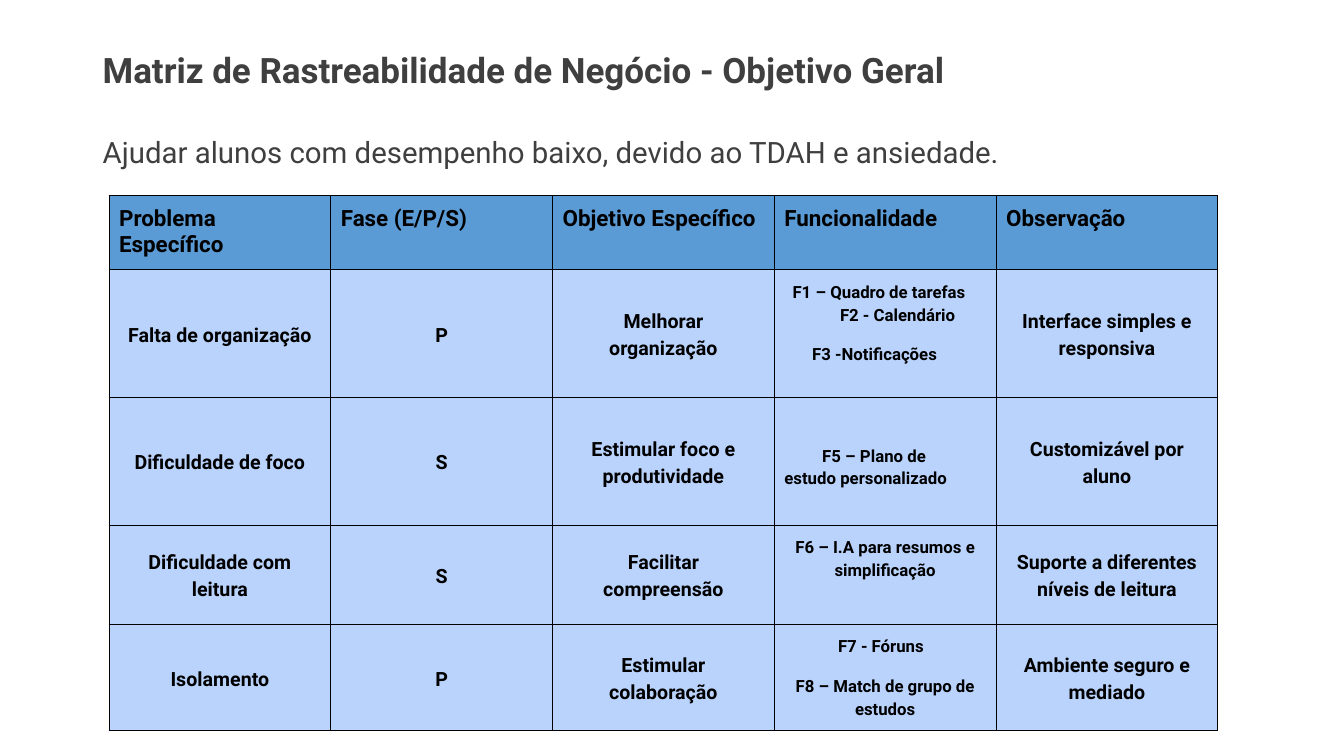
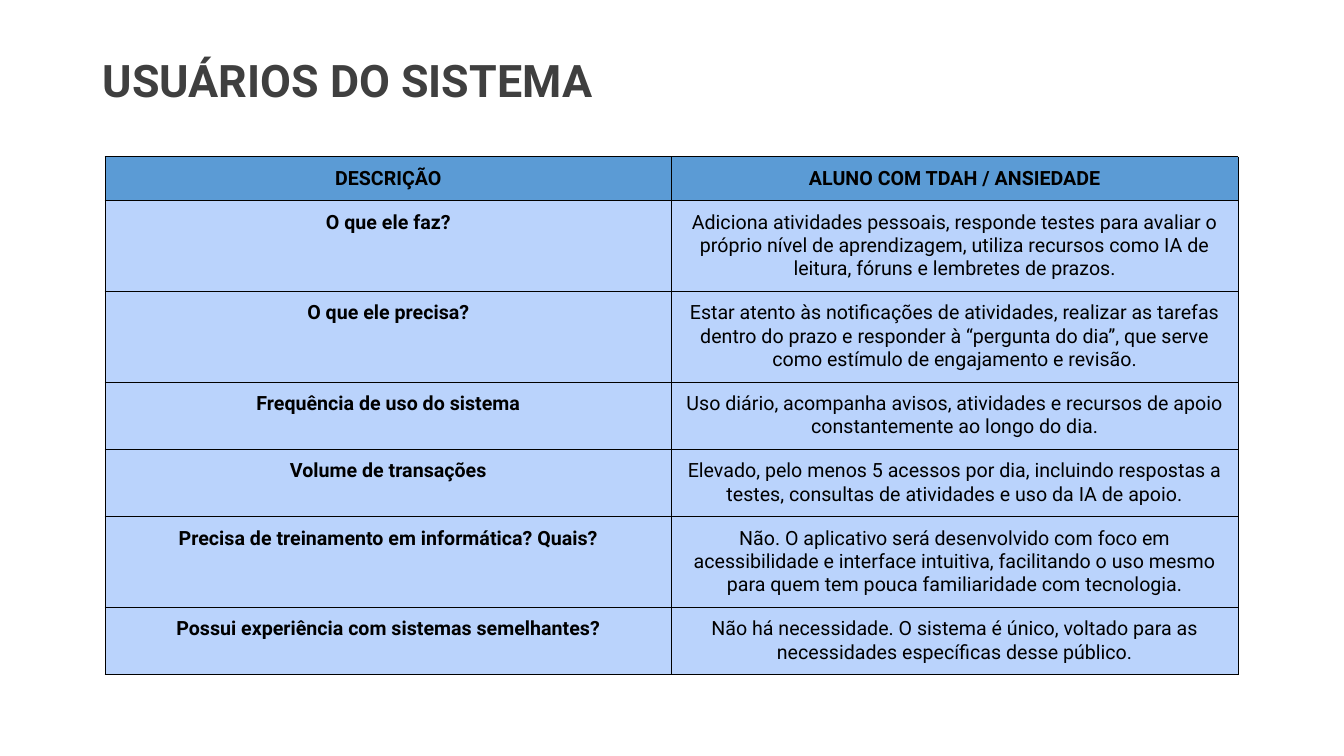
"""Builds two slides: the business traceability matrix and the system users."""
from lxml import etree
from pptx import Presentation
from pptx.dml.color import RGBColor
from pptx.enum import text
from pptx.oxml import ns
from pptx.util import Pt

FONT = "Roboto"
GREY = RGBColor(0x3F, 0x3F, 0x3F)
BLACK = RGBColor(0, 0, 0)
HEADER_BLUE = RGBColor(0x5B, 0x9B, 0xD5)
BODY_BLUE = RGBColor(0xBA, 0xD3, 0xFC)
LEFT, CENTER = text.PP_ALIGN.LEFT, text.PP_ALIGN.CENTER
TOP, MIDDLE = text.MSO_ANCHOR.TOP, text.MSO_ANCHOR.MIDDLE
TEXT_LEFT = 66.24
INSET = 7.2

MATRIX_TITLE = "Matriz de Rastreabilidade de Negócio - Objetivo Geral"
MATRIX_GOAL = "Ajudar alunos com desempenho baixo, devido ao TDAH e ansiedade."
MATRIX_HEADER = ["Problema Específico", "Fase (E/P/S)", "Objetivo Específico",
                 "Funcionalidade", "Observação"]
MATRIX_ROWS = [
    ("Falta de organização", "P", "Melhorar organização", "Interface simples e responsiva"),
    ("Dificuldade de foco", "S", "Estimular foco e produtividade", "Customizável por aluno"),
    ("Dificuldade com leitura", "S", "Facilitar compreensão",
     "Suporte a diferentes níveis de leitura"),
    ("Isolamento", "P", "Estimular colaboração", "Ambiente seguro e mediado"),
]
# Each feature: text, first-line indent (None when centred), space before
FEATURES = [
    [("F1 – Quadro de tarefas", 5.8, 0), ("F2 - Calendário", 39.7, 0),
     ("F3 -Notificações", 19.8, 12)],
    [("F5 – Plano de\vestudo personalizado", 27, 0)],
    [("F6 – I.A para resumos e simplificação", None, 0)],
    [("F7 - Fóruns", 38.3, 0), ("F8 – Match de grupo de estudos", None, 12)],
]
FEATURE_TOPS = [INSET, 33, INSET, INSET]
MATRIX_HEIGHTS = [53.1, 91.2, 91.2, 70.8, 74.2]

USERS_TITLE = "USUÁRIOS DO SISTEMA"
USERS_ROWS = [
    ("DESCRIÇÃO", "ALUNO COM TDAH / ANSIEDADE"),
    ("O que ele faz?",
     "Adiciona atividades pessoais, responde testes para avaliar o próprio nível de "
     "aprendizagem, utiliza recursos como IA de leitura, fóruns e lembretes de prazos."),
    ("O que ele precisa?",
     "Estar atento às notificações de atividades, realizar as tarefas dentro do prazo e "
     "responder à “pergunta do dia”, que serve como estímulo de engajamento e revisão."),
    ("Frequência de uso do sistema",
     "Uso diário, acompanha avisos, atividades e recursos de apoio constantemente ao "
     "longo do dia."),
    ("Volume de transações",
     "Elevado, pelo menos 5 acessos por dia, incluindo respostas a testes, consultas de "
     "atividades e uso da IA de apoio."),
    ("Precisa de treinamento em informática? Quais?",
     "Não. O aplicativo será desenvolvido com foco em acessibilidade e interface "
     "intuitiva, facilitando o uso mesmo para quem tem pouca familiaridade com tecnologia."),
    ("Possui experiência com sistemas semelhantes?",
     "Não há necessidade. O sistema é único, voltado para as necessidades específicas "
     "desse público."),
]


def style(p, size, color=BLACK, bold=True, align=LEFT, spacing=1.0):
    p.font.name, p.font.size, p.font.bold = FONT, Pt(size), bold
    p.font.color.rgb = color
    p.alignment, p.line_spacing = align, spacing


def add_text(slide, words, top, width, height, size, bold=True, spacing=0.9,
             inset=3.6, bottom=3.6):
    sp = slide.shapes.add_textbox(Pt(TEXT_LEFT), Pt(top), Pt(width), Pt(height))
    tf = sp.text_frame
    tf.word_wrap, tf.vertical_anchor = True, MIDDLE
    tf.margin_left = tf.margin_right = Pt(INSET)
    tf.margin_top, tf.margin_bottom = Pt(inset), Pt(bottom)
    p = tf.paragraphs[0]
    p.text = words
    style(p, size, GREY, bold, spacing=spacing)


def add_table(slide, left, top, col_width, cols, heights):
    table = slide.shapes.add_table(len(heights), cols, Pt(left), Pt(top),
                                   Pt(col_width * cols), Pt(sum(heights))).table
    for col in table.columns:
        col.width = Pt(col_width)
    for row, height in zip(table.rows, heights):
        row.height = Pt(height)
    return table


def fill_cell(cell, paragraphs, size, fill, bold=True, align=CENTER, anchor=TOP,
              spacing=1.0, side=INSET, top=INSET):
    cell.margin_left = cell.margin_right = Pt(side)
    cell.margin_top, cell.margin_bottom = Pt(top), Pt(INSET)
    cell.vertical_anchor = anchor
    tf = cell.text_frame
    for i, (words, indent, before) in enumerate(paragraphs):
        p = tf.add_paragraph() if i else tf.paragraphs[0]
        p.text = words
        style(p, size, BLACK, bold, align if indent is None else LEFT, spacing)
        p.space_before = Pt(before)
        if indent is not None:
            pPr = p._p.get_or_add_pPr()
            pPr.set("marL", "0")
            pPr.set("indent", str(int(Pt(indent))))
    tcPr = cell._tc.get_or_add_tcPr()
    for edge in ("a:lnL", "a:lnR", "a:lnT", "a:lnB"):
        ln = etree.SubElement(tcPr, ns.qn(edge), w=str(int(Pt(0.75))))
        solid = etree.SubElement(ln, ns.qn("a:solidFill"))
        etree.SubElement(solid, ns.qn("a:srgbClr"), val=str(BLACK))
    cell.fill.solid()
    cell.fill.fore_color.rgb = fill


def build_matrix(slide):
    add_text(slide, MATRIX_TITLE, 28.8, 709.2, 69.1, 25, bottom=27.8)
    table = add_table(slide, 77.9, 139.7, 158.4, len(MATRIX_HEADER), MATRIX_HEIGHTS)
    for c, words in enumerate(MATRIX_HEADER):
        fill_cell(table.cell(0, c), [(words, None, 0)], 16, HEADER_BLUE, align=LEFT)
    for r, row in enumerate(MATRIX_ROWS, 1):
        for c, words in zip((0, 1, 2, 4), row):
            fill_cell(table.cell(r, c), [(words, None, 0)], 14, BODY_BLUE,
                      anchor=MIDDLE, spacing=1.15, side=12.2)
        fill_cell(table.cell(r, 3), FEATURES[r - 1], 12, BODY_BLUE, spacing=1.15,
                  top=FEATURE_TOPS[r - 1])
    add_text(slide, MATRIX_GOAL, 84.2, 777.6, 48.2, 21, bold=False, spacing=1.0,
             inset=INSET, bottom=INSET)


def build_users(slide):
    add_text(slide, USERS_TITLE, 26.6, 700.6, 65.5, 32)
    table = add_table(slide, 75.1, 112.1, 404.6, 2, [30.2] * len(USERS_ROWS))
    for r, row in enumerate(USERS_ROWS):
        for c, words in enumerate(row):
            fill_cell(table.cell(r, c), [(words, None, 0)], 14,
                      BODY_BLUE if r else HEADER_BLUE, bold=r == 0 or c == 0)


def main():
    prs = Presentation()
    prs.slide_width, prs.slide_height = Pt(960), Pt(540)
    for build in (build_matrix, build_users):
        build(prs.slides.add_slide(prs.slide_layouts[6]))
    prs.save("out.pptx")


if __name__ == "__main__":
    main()
